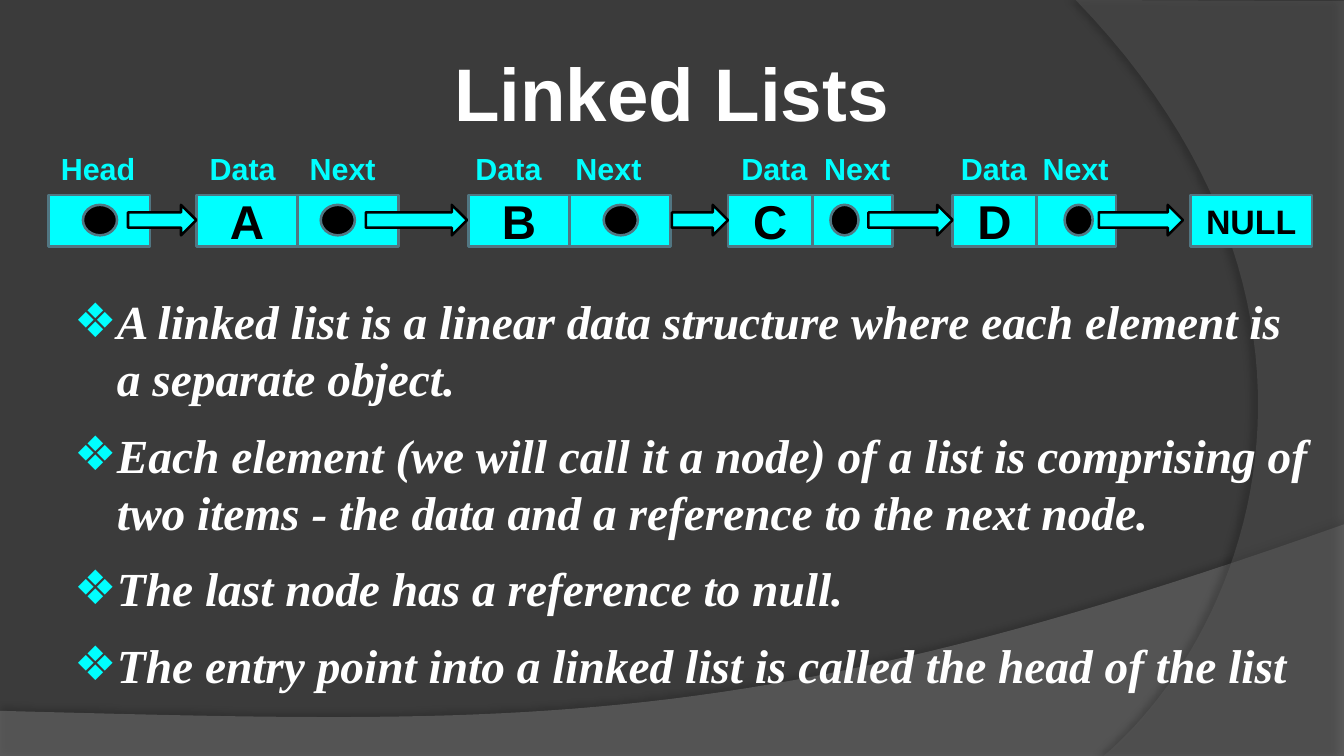
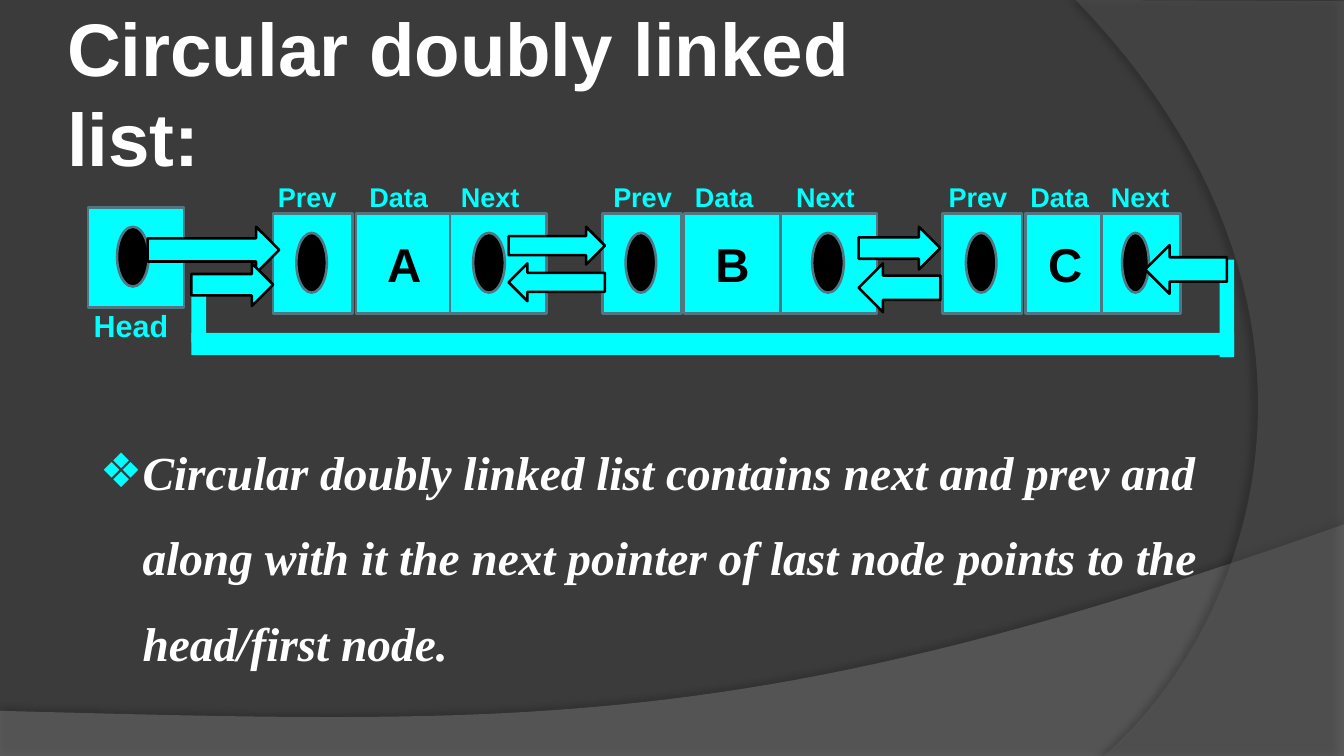
from lxml import etree
from pptx import Presentation
from pptx.dml.color import RGBColor
from pptx.enum import shapes, text
from pptx.oxml import ns
from pptx.util import Inches, Pt

WIDTH, HEIGHT = 11.02, 6.2
BACKGROUND = RGBColor(0x3B, 0x3B, 0x3B)
WAVE = RGBColor(0x7F, 0x7F, 0x7F)
ARC = RGBColor(0x5E, 0x5E, 0x5E)
CYAN = RGBColor(0x00, 0xFF, 0xFF)
OUTLINE = RGBColor(0x51, 0x76, 0x82)
WHITE = RGBColor(0xFF, 0xFF, 0xFF)
BLACK = RGBColor(0x00, 0x00, 0x00)
SHAPE = shapes.MSO_SHAPE
LEFT, CENTER = text.PP_ALIGN.LEFT, text.PP_ALIGN.CENTER
TOP, MIDDLE = text.MSO_ANCHOR.TOP, text.MSO_ANCHOR.MIDDLE


def add_element(parent, tag, **attributes):
    element = etree.SubElement(parent, ns.qn(tag))
    for name, value in attributes.items():
        element.set(name, str(value))
    return element


def bezier(start, control1, control2, end, steps=48):
    """Points along a cubic curve, without its start."""
    points = []
    for step in range(1, steps + 1):
        t = step / steps
        weights = ((1 - t) ** 3, 3 * t * (1 - t) ** 2, 3 * t * t * (1 - t), t ** 3)
        corners = (start, control1, control2, end)
        points.append(tuple(sum(w * c[axis] for w, c in zip(weights, corners))
                            for axis in (0, 1)))
    return points


def write_text(frame, lines, size=18, color=CYAN, font="Arial", italic=False,
               align=LEFT, anchor=TOP, margins=(0.1, 0.05), bullet=None,
               line_spacing=None, space_after=None):
    frame.word_wrap = True
    frame.vertical_anchor = anchor
    frame.margin_left = frame.margin_right = Inches(margins[0])
    frame.margin_top = frame.margin_bottom = Inches(margins[1])
    for index, line in enumerate(lines):
        paragraph = frame.add_paragraph() if index else frame.paragraphs[0]
        paragraph.alignment = align
        if bullet:
            properties = paragraph._p.get_or_add_pPr()
            properties.set("marL", str(Inches(0.47)))
            properties.set("indent", str(Inches(-0.35)))
            bullet_color = add_element(properties, "a:buClr")
            add_element(bullet_color, "a:srgbClr", val=CYAN)
            add_element(properties, "a:buFont", typeface="Arial")
            add_element(properties, "a:buChar", char=bullet)
        if line_spacing:
            paragraph.line_spacing = line_spacing
        if space_after:
            paragraph.space_after = Pt(space_after)
        run = paragraph.add_run()
        run.text = line
        run.font.name, run.font.size = font, Pt(size)
        run.font.bold, run.font.italic = True, italic
        run.font.color.rgb = color


class Deck:
    def __init__(self):
        self.presentation = Presentation()
        self.presentation.slide_width = Inches(WIDTH)
        self.presentation.slide_height = Inches(HEIGHT)
        fill = self.presentation.slide_master.background.fill
        fill.solid()
        fill.fore_color.rgb = BACKGROUND
        self.slide = None

    def new_slide(self, title, width, left=0, align=LEFT):
        layout = self.presentation.slide_layouts[6]
        self.slide = self.presentation.slides.add_slide(layout)
        wave_start, arc_start = (11.02, 4.3), (9.05, 6.2)
        self.band([(0, 5.83), (0, 6.21), (11.02, 6.21), wave_start]
                  + bezier(wave_start, (6.16, 6.03), (4.31, 5.94), (0, 5.83)),
                  WAVE, 45, shadow_alpha=35, distance=3.5, direction=270)
        self.band([(11.02, 0.01), (11.02, 6.2), arc_start]
                  + bezier(arc_start, (10.3, 5.12), (11.22, 2.48), (8.82, 0)),
                  ARC, 40, shadow_alpha=45, distance=4, direction=180)
        self.text_box(left, 0.24, width, 1.02, [title], size=44, color=WHITE,
                      align=align, anchor=MIDDLE, margins=(0, 0))

    def band(self, points, color, alpha, shadow_alpha, distance, direction):
        points = [(Inches(x), Inches(y)) for x, y in points]
        builder = self.slide.shapes.build_freeform(*points[0], scale=1.0)
        builder.add_line_segments(points[1:], close=True)
        shape = builder.convert_to_shape()
        self.paint(shape, color, None)
        fill_color = shape._element.spPr.find(".//" + ns.qn("a:srgbClr"))
        add_element(fill_color, "a:alpha", val=alpha * 1000)
        effects = shape._element.spPr.find(ns.qn("a:effectLst"))
        shadow = add_element(effects, "a:outerShdw", blurRad=Pt(4), dist=Pt(distance),
                             dir=direction * 60000, algn="ctr", rotWithShape=0)
        shadow_color = add_element(shadow, "a:srgbClr", val=BLACK)
        add_element(shadow_color, "a:alpha", val=shadow_alpha * 1000)

    def paint(self, shape, fill, line):
        shape.shadow.inherit = False
        shape.fill.solid()
        shape.fill.fore_color.rgb = fill
        if line is None:
            shape.line.fill.background()
        else:
            shape.line.color.rgb = line
            shape.line.width = Pt(1.5)

    def text_box(self, left, top, width, height, lines, **style):
        box = self.slide.shapes.add_textbox(*map(Inches, (left, top, width, height)))
        write_text(box.text_frame, lines, **style)

    def shape(self, kind, left, top, width, height, fill=CYAN, line=OUTLINE):
        shape = self.slide.shapes.add_shape(
            kind, *map(Inches, (left, top, width, height)))
        self.paint(shape, fill, line)
        return shape

    def cell(self, left, top, width, height, label=None, size=28):
        shape = self.shape(SHAPE.RECTANGLE, left, top, width, height)
        if label:
            write_text(shape.text_frame, [label], size=size, color=BLACK,
                       align=CENTER, anchor=MIDDLE, margins=(0, 0))

    def dot(self, left, top, width, height):
        self.shape(SHAPE.OVAL, left, top, width, height, fill=BLACK)

    def arrow(self, left, top, width, height, back=False):
        shape = self.shape(SHAPE.RIGHT_ARROW, left, top, width, height, line=BLACK)
        shape.rotation = 180 if back else 0

    def bar(self, left, top, width, height):
        self.shape(SHAPE.RECTANGLE, left, top, width, height, line=None)

    def label(self, left, top, caption, size=18):
        self.text_box(left, top, 0.98, 0.4, [caption], size=size)

    def bullets(self, left, top, width, height, lines, line_spacing=None):
        self.text_box(left, top, width, height, lines, size=28, color=WHITE,
                      font="Times New Roman", italic=True, bullet="❖",
                      line_spacing=line_spacing, space_after=11.5)


def singly_linked_slide(deck):
    deck.new_slide("Linked Lists", WIDTH, align=CENTER)
    deck.bullets(0.39, 2.35, 10.45, 2.69, [
        "A linked list is a linear data structure where each element is a separate object.",
        "Each element (we will call it a node) of a list is comprising of two items"
        " - the data and a reference to the next node.",
        "The last node has a reference to null.",
        "The entry point into a linked list is called the head of the list",
    ])
    cell_top, cell_height = 1.6, 0.42
    link_top, link_height = 1.68, 0.25
    label_top = 1.18

    # Head and end of the list
    deck.cell(0.4, cell_top, 0.83, cell_height)
    deck.dot(0.68, link_top, 0.28, link_height)
    deck.label(0.4, label_top, "Head")
    deck.cell(9.76, cell_top, 1, cell_height, "NULL", size=20)

    # Nodes: name, data left, next left, cell width, dot left, dot width, label lefts
    nodes = [
        ("A", 1.61, 2.44, 0.83, 2.63, 0.28, 1.62, 2.44),
        ("B", 3.84, 4.67, 0.83, 4.95, 0.28, 3.8, 4.62),
        ("C", 5.97, 6.63, 0.69, 6.81, 0.23, 5.98, 6.66),
        ("D", 7.81, 8.46, 0.69, 8.73, 0.23, 7.78, 8.45),
    ]
    for name, data, following, width, dot, dot_width, data_label, next_label in nodes:
        deck.cell(following, cell_top, width, cell_height)
        deck.cell(data, cell_top, width, cell_height, name)
        deck.dot(dot, link_top, dot_width, link_height)
        deck.label(data_label, label_top, "Data")
        deck.label(next_label, label_top, "Next")

    # Links
    for left, width in [(1.05, 0.56), (3, 0.83), (5.51, 0.46), (7.12, 0.69), (9.01, 0.69)]:
        deck.arrow(left, link_top, width, link_height)


def circular_list_slide(deck):
    deck.new_slide("Circular doubly linked list:", 7.68, left=0.55)
    cell_top, cell_height = 1.75, 0.82
    dot_top, dot_height = 1.91, 0.49
    prev_width = 0.65

    # Head
    deck.cell(0.72, 1.7, 0.79, cell_height)
    deck.dot(0.96, 1.86, 0.26, dot_height)
    deck.label(0.67, 2.47, "Head")

    # Nodes: name, prev/data/next lefts, cell width, dot left and width, label lefts
    nodes = [
        ("A", (2.24, 2.92, 3.69), 0.79, 3.88, 0.26, (2.18, 2.93, 3.68)),
        ("B", (4.94, 5.61, 6.4), 0.79, 6.66, 0.26, (4.93, 5.6, 6.43)),
        ("C", (7.73, 8.41, 9.03), 0.65, 9.2, 0.22, (7.68, 8.35, 9.01)),
    ]
    for name, (prev, data, following), width, dot, dot_width, label_lefts in nodes:
        deck.cell(prev, cell_top, prev_width, cell_height)
        deck.dot(prev + 0.19, dot_top, 0.25, dot_height)
        deck.cell(data, cell_top, width, cell_height, name)
        deck.cell(following, cell_top, width, cell_height)
        deck.dot(dot, dot_top, dot_width, dot_height)
        for left, caption in zip(label_lefts, ("Prev", "Data", "Next")):
            deck.label(left, 1.43, caption, size=16)

    # Return path from the last node to the first
    for bar in [(10, 2.13, 0.12, 0.8), (1.57, 2.35, 0.12, 0.46), (1.57, 2.73, 8.55, 0.18)]:
        deck.bar(*bar)

    # Links
    for forward in [(1.21, 1.86, 1.08, 0.38), (4.17, 1.86, 0.79, 0.31),
                    (7.04, 1.86, 0.67, 0.35), (1.57, 2.16, 0.67, 0.35)]:
        deck.arrow(*forward)
    for backward in [(4.17, 2.16, 0.79, 0.31), (7.04, 2.16, 0.67, 0.4),
                     (9.39, 2.01, 0.67, 0.4)]:
        deck.arrow(*backward, back=True)

    deck.bullets(0.6, 3.35, 10.08, 2.14, [
        "Circular doubly linked list contains next and prev and along with it"
        " the next pointer of last node points to the head/first node.",
    ], line_spacing=1.5)


def main():
    deck = Deck()
    singly_linked_slide(deck)
    circular_list_slide(deck)
    deck.presentation.save("out.pptx")


if __name__ == "__main__":
    main()
